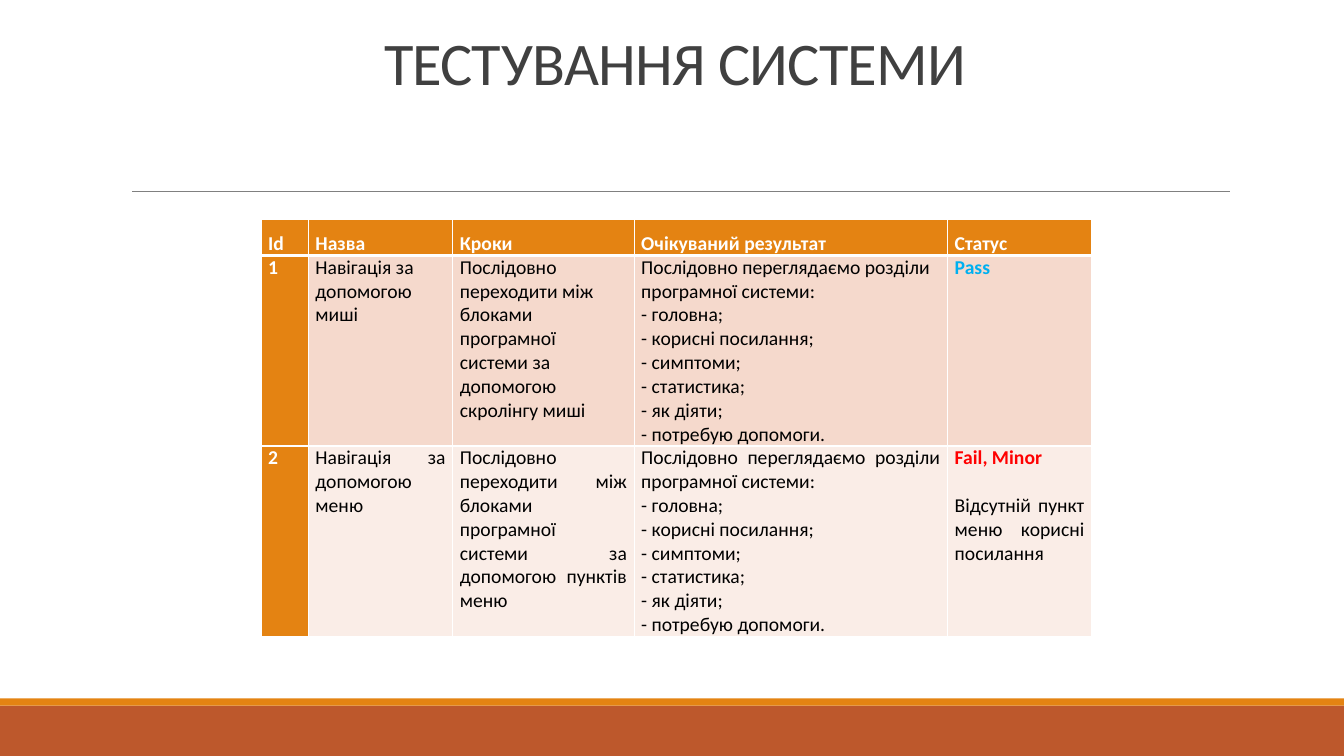
from lxml import etree
from pptx import Presentation
from pptx.dml.color import RGBColor
from pptx.enum.shapes import MSO_CONNECTOR, MSO_SHAPE
from pptx.enum.text import MSO_ANCHOR, PP_ALIGN
from pptx.oxml.ns import qn
from pptx.util import Cm, Pt

LEFT, CENTER, JUSTIFY = PP_ALIGN.LEFT, PP_ALIGN.CENTER, PP_ALIGN.JUSTIFY
BOTTOM = MSO_ANCHOR.BOTTOM
RECTANGLE, STRAIGHT = MSO_SHAPE.RECTANGLE, MSO_CONNECTOR.STRAIGHT
COLORS = {
    "title": "404040", "rule": "808080", "rust": "BD582C", "orange": "E48312",
    "white": "FFFFFF", "black": "000000", "pass": "00B0F0", "fail": "FF0000",
    "row 1": "F5D9CC", "row 2": "FAEDE7",
}


def color(name):
    return RGBColor.from_string(COLORS[name])


def write(frame, text, size=14, ink="black", bold=False, align=LEFT,
          spacing=None, gap=0, tracking=None):
    """Write one paragraph, reusing the empty first one."""
    first = frame.paragraphs[0]
    paragraph = frame.add_paragraph() if first.runs else first
    paragraph.alignment = align
    paragraph.space_before = Pt(gap)
    if spacing:
        paragraph.line_spacing = spacing
    span = paragraph.add_run()
    span.text = text
    span.font.name = "Calibri"
    span.font.size = Pt(size)
    span.font.bold = bold
    span.font.color.rgb = color(ink)
    if tracking:
        span.font._element.set("spc", str(tracking))


deck = Presentation()
deck.slide_width, deck.slide_height = Cm(33.87), Cm(19.05)
page = deck.slides.add_slide(deck.slide_layouts[6])

# Footer bands
for top, height, fill in [(17.78, 1.27, "rust"), (17.6, 0.18, "orange")]:
    band = page.shapes.add_shape(RECTANGLE, 0, Cm(top), deck.slide_width, Cm(height))
    band.shadow.inherit = False
    band.fill.solid()
    band.fill.fore_color.rgb = color(fill)
    band.line.fill.background()

# Rule under the title
rule = page.shapes.add_connector(STRAIGHT, Cm(3.33), Cm(4.83), Cm(31), Cm(4.83))
rule.line.color.rgb = color("rule")
rule.line.width = Pt(0.5)
etree.SubElement(rule._element.spPr, qn("a:effectLst"))

# Title
title = page.shapes.add_textbox(Cm(3.05), Cm(0.79), Cm(27.94), Cm(1.8)).text_frame
title.word_wrap = True
title.vertical_anchor = BOTTOM
write(title, "ТЕСТУВАННЯ СИСТЕМИ", size=43.2, ink="title", align=CENTER,
      spacing=0.85, tracking=-50)

# Table contents
headers = ["Id", "Назва", "Кроки", "Очікуваний результат", "Статус"]
expected = [
    "Послідовно переглядаємо розділи програмної системи:",
    "- головна;", "- корисні посилання;", "- симптоми;",
    "- статистика;", "- як діяти;", "- потребую допомоги.",
]
steps = "Послідовно переходити між блоками програмної системи за допомогою "
tests = [
    (["1"], ["Навігація за допомогою миші"], [steps + "скролінгу миші"],
     expected, ["Pass"]),
    (["2"], ["Навігація за допомогою меню"], [steps + "пунктів меню"],
     expected, ["Fail, Minor", "Відсутній пункт меню корисні посилання"]),
]
rows = [[[header] for header in headers], *tests]
widths = [1.19, 3.64, 4.57, 7.9, 3.63]
heights = [0.9, 4.8, 4.8]

# Table grid
table = page.shapes.add_table(len(rows), len(widths), Cm(6.58), Cm(5.54),
                              Cm(sum(widths)), Cm(sum(heights))).table
for column, width in zip(table.columns, widths):
    column.width = Cm(width)
for row, height in zip(table.rows, heights):
    row.height = Cm(height)

# Table cells
for i, row in enumerate(rows):
    for j, lines in enumerate(row):
        cell = table.cell(i, j)
        cell.margin_left = cell.margin_right = Cm(0.18)
        cell.margin_top = cell.margin_bottom = 0

        # Borders come before the fill in the cell properties
        properties = cell._tc.get_or_add_tcPr()
        for side in ("lnL", "lnR", "lnT", "lnB"):
            heavy = (i, side) in [(0, "lnB"), (1, "lnT")]
            border = etree.SubElement(properties, qn(f"a:{side}"),
                                      w=str(Pt(3 if heavy else 1)))
            paint = etree.SubElement(border, qn("a:solidFill"))
            etree.SubElement(paint, qn("a:srgbClr"), val=COLORS["white"])
        label = i == 0 or j == 0
        cell.fill.solid()
        cell.fill.fore_color.rgb = color("orange" if label else f"row {i}")

        plain_left = i == 1 and 0 < j < 4
        for k, line in enumerate(lines):
            verdict = i > 0 and j == 4 and k == 0
            ink = "white" if label else "black"
            if verdict:
                ink = "pass" if line == "Pass" else "fail"
            write(cell.text_frame, line, ink=ink, bold=label or verdict,
                  align=LEFT if plain_left else JUSTIFY,
                  spacing=1.5 if i == 0 else None,
                  gap=17 if j == 4 and k == 1 else 0)

deck.save("out.pptx")
